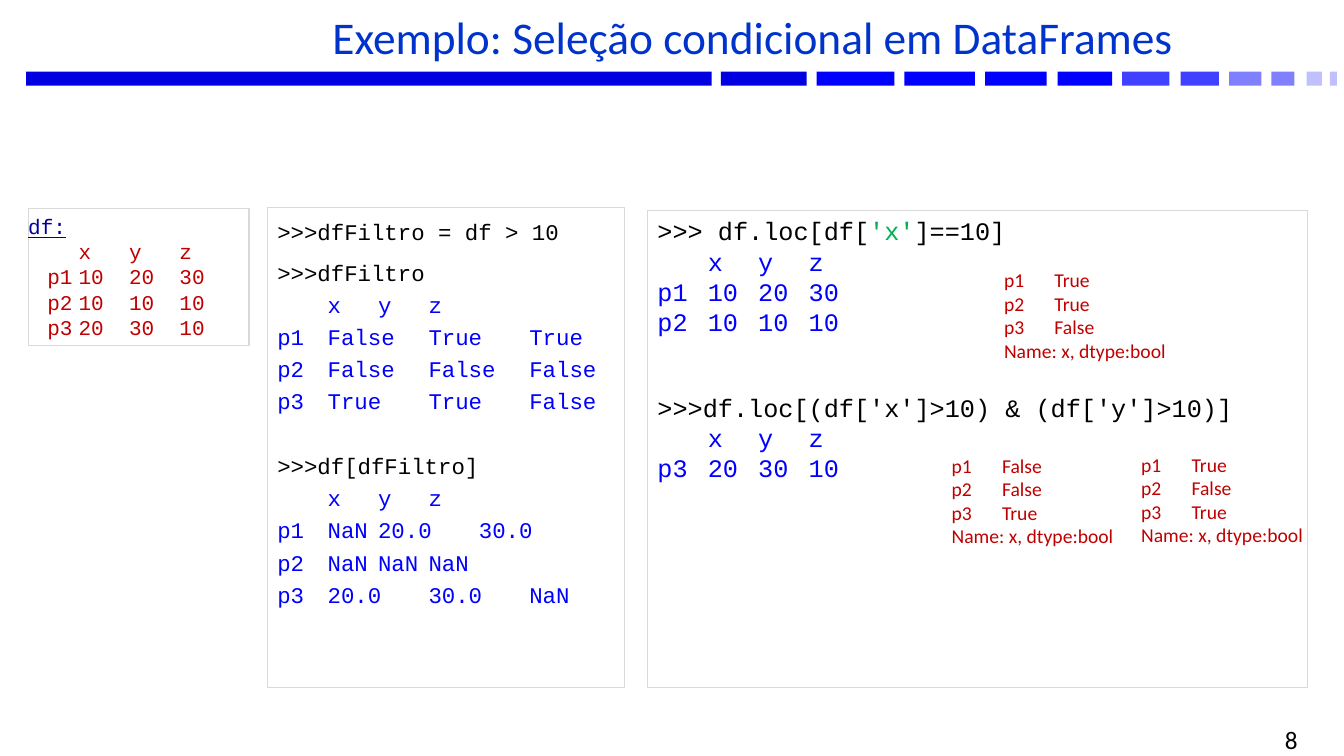
from dataclasses import dataclass

from lxml import etree
from pptx import Presentation
from pptx.dml.color import RGBColor
from pptx.enum.shapes import MSO_SHAPE
from pptx.enum.text import MSO_ANCHOR, MSO_AUTO_SIZE, PP_ALIGN
from pptx.oxml.ns import qn
from pptx.util import Pt

EMU_PER_PX = 9144  # 100 px to the inch
RECTANGLE = MSO_SHAPE.RECTANGLE
MIDDLE, TOP = MSO_ANCHOR.MIDDLE, MSO_ANCHOR.TOP
LEFT, CENTER, RIGHT = PP_ALIGN.LEFT, PP_ALIGN.CENTER, PP_ALIGN.RIGHT
NO_AUTOFIT = MSO_AUTO_SIZE.NONE
TWO_CONTENT_LAYOUT = 3


@dataclass(frozen=True)
class Theme:
    sans: str = "Calibri"
    mono: str = "Courier New"
    heading: str = "0033CC"
    code: str = "000000"
    output: str = "0000FF"
    string: str = "00B050"
    label: str = "000099"
    data: str = "C00000"
    border: str = "D9D9D9"
    ribbon: tuple = ("0000E0", "0000FF", "4040FF", "8080FF", "C0C0FF")
    title_size: float = 32.4
    large_size: int = 18
    code_size: int = 16
    data_size: int = 15
    mask_size: int = 14


def px(length):
    return round(length * EMU_PER_PX)


class SlideBuilder:
    def __init__(self, slide, theme):
        self.slide = slide
        self.theme = theme

    def place(self, shape, box):
        shape.left, shape.top, shape.width, shape.height = map(px, box)

    def bar(self, box, color):
        bar = self.slide.shapes.add_shape(RECTANGLE, *map(px, box))
        bar.shadow.inherit = False
        bar.fill.solid()
        bar.fill.fore_color.rgb = RGBColor.from_string(color)
        bar.line.fill.background()

    def prepare(self, shape, anchor=TOP):
        frame = shape.text_frame
        frame.word_wrap = True
        frame.auto_size = NO_AUTOFIT
        frame.vertical_anchor = anchor
        return frame

    def text_box(self, box, anchor=TOP):
        return self.prepare(self.slide.shapes.add_textbox(*map(px, box)), anchor)

    def title(self, text, box):
        heading = self.slide.shapes.title
        self.place(heading, box)
        frame = self.prepare(heading, MIDDLE)
        self.line(frame, [(text, self.theme.heading)], self.theme.title_size,
                  self.theme.sans, align=CENTER, spacing=0.8)

    def code_panel(self, index, box):
        panel = self.slide.placeholders[index]
        self.place(panel, box)
        self.outline(panel)
        return self.prepare(panel)

    def outline(self, shape):
        shape.line.color.rgb = RGBColor.from_string(self.theme.border)
        shape.line.width = Pt(0.75)

    def line(self, frame, runs, size, font, align=LEFT, spacing=1.0, before=0,
             indent=0, stops=(), stop_align="r", underline=False):
        """Append a paragraph of (text, color) runs, with tab stops in px."""
        first = frame.paragraphs[0]
        paragraph = frame.add_paragraph() if first.runs else first
        paragraph.alignment = align
        paragraph.line_spacing = spacing
        paragraph.space_before = Pt(before)
        properties = paragraph._p.get_or_add_pPr()
        properties.set("marL", "0")
        properties.set("indent", str(px(indent)))
        etree.SubElement(properties, qn("a:buNone"))
        if stops:
            tabs = etree.SubElement(properties, qn("a:tabLst"))
            for stop in stops:
                etree.SubElement(tabs, qn("a:tab"), pos=str(px(stop)), algn=stop_align)
        for text, color in runs:
            run = paragraph.add_run()
            run.text = text
            run.font.name = font
            run.font.size = Pt(size)
            run.font.color.rgb = RGBColor.from_string(color)
            run.font.underline = underline

    def code(self, frame, runs, size, **layout):
        self.line(frame, runs, size, self.theme.mono, **layout)

    def data_frame(self, frame, rows, size, color, header_stops, row_stops, **layout):
        """Print the x, y, z header and its rows, in right-aligned columns."""
        self.code(frame, [("\tx\ty\tz", color)], size, stops=header_stops, **layout)
        for row in rows:
            self.code(frame, [("\t".join(row.split()), color)], size,
                      stops=row_stops, **layout)

    def mask(self, left, top, values, stop, stop_align):
        """Print the boolean series of one condition."""
        frame = self.text_box((left, top, 188, 104))
        rows = [f"p{number}\t{value}" for number, value in enumerate(values, 1)]
        for row in rows + ["Name: x, dtype:bool"]:
            self.line(frame, [(row, self.theme.data)], self.theme.mask_size,
                      self.theme.sans, stops=(stop,), stop_align=stop_align)


def draw_ribbon(builder):
    bars = [(26, 680, 0), (715, 85, 0), (810, 77, 1), (897, 70, 1), (977, 61, 1),
            (1049, 54, 1), (1113, 47, 2), (1171, 38, 2), (1219, 32, 3),
            (1261, 23, 3), (1296, 15, 4), (1319, 7, 4)]
    for left, width, shade in bars:
        builder.bar((left, 71, width, 14), builder.theme.ribbon[shade])


def draw_source_data(builder):
    theme = builder.theme
    box = builder.slide.shapes.add_textbox(*map(px, (28, 207, 219, 136)))
    builder.outline(box)
    frame = builder.prepare(box)
    frame.margin_left = frame.margin_right = 0
    builder.code(frame, [("df:", theme.label)], theme.data_size, underline=True)
    builder.data_frame(frame, ["p1 10 20 30", "p2 10 10 10", "p3 20 30 10"],
                       theme.data_size, theme.data, (92, 142, 192), (94, 144, 194),
                       indent=19)


def draw_filter_panel(builder):
    theme = builder.theme
    size = theme.code_size
    panel = builder.code_panel(1, (265, 206, 354, 476))
    builder.code(panel, [(">>>dfFiltro = df > 10", theme.code)], size, spacing=1.2)
    builder.code(panel, [(">>>dfFiltro", theme.code)], size, spacing=1.2, before=6)
    builder.data_frame(panel, ["p1 False True True", "p2 False False False",
                               "p3 True True False"],
                       size, theme.output, (125, 205, 298), (120, 213, 307), spacing=1.2)
    builder.code(panel, [(">>>df[dfFiltro]", theme.code)], size, spacing=1.2, before=23)
    builder.data_frame(panel, ["p1 NaN 20.0 30.0", "p2 NaN NaN NaN", "p3 20.0 30.0 NaN"],
                       size, theme.output, (103, 183, 263), (107, 187, 267), spacing=1.2)


def draw_selection_panel(builder):
    theme = builder.theme
    size = theme.large_size
    columns = ((82, 142, 202), (90, 150, 210))
    panel = builder.code_panel(2, (642, 209, 655, 473))
    builder.code(panel, [(">>> df.loc[df[", theme.code), ("'x'", theme.string),
                         ("]==10]", theme.code)], size)
    builder.data_frame(panel, ["p1 10 20 30", "p2 10 10 10"], size, theme.output, *columns)
    builder.code(panel, [(">>>df.loc[(df['x']>10) & (df['y']>10)]", theme.code)],
                 size, before=39.6)
    builder.data_frame(panel, ["p3 20 30 10"], size, theme.output, *columns)


def main():
    deck = Presentation()
    deck.slide_width, deck.slide_height = px(1333), px(750)
    slide = deck.slides.add_slide(deck.slide_layouts[TWO_CONTENT_LAYOUT])
    theme = Theme()
    builder = SlideBuilder(slide, theme)
    draw_ribbon(builder)
    builder.title("Exemplo: Seleção condicional em DataFrames", (186, 14, 1121, 54))
    draw_filter_panel(builder)
    draw_selection_panel(builder)
    page_number = builder.text_box((986, 723, 311, 22), MIDDLE)
    builder.line(page_number, [("8", theme.code)], theme.large_size, theme.sans, align=RIGHT)
    draw_source_data(builder)
    builder.mask(986, 261, ("True", "True", "False"), 68, "r")
    builder.mask(934, 445, ("False", "False", "True"), 72, "r")
    builder.mask(1122, 444, ("True", "False", "True"), 33, "l")
    deck.save("out.pptx")


if __name__ == "__main__":
    main()
